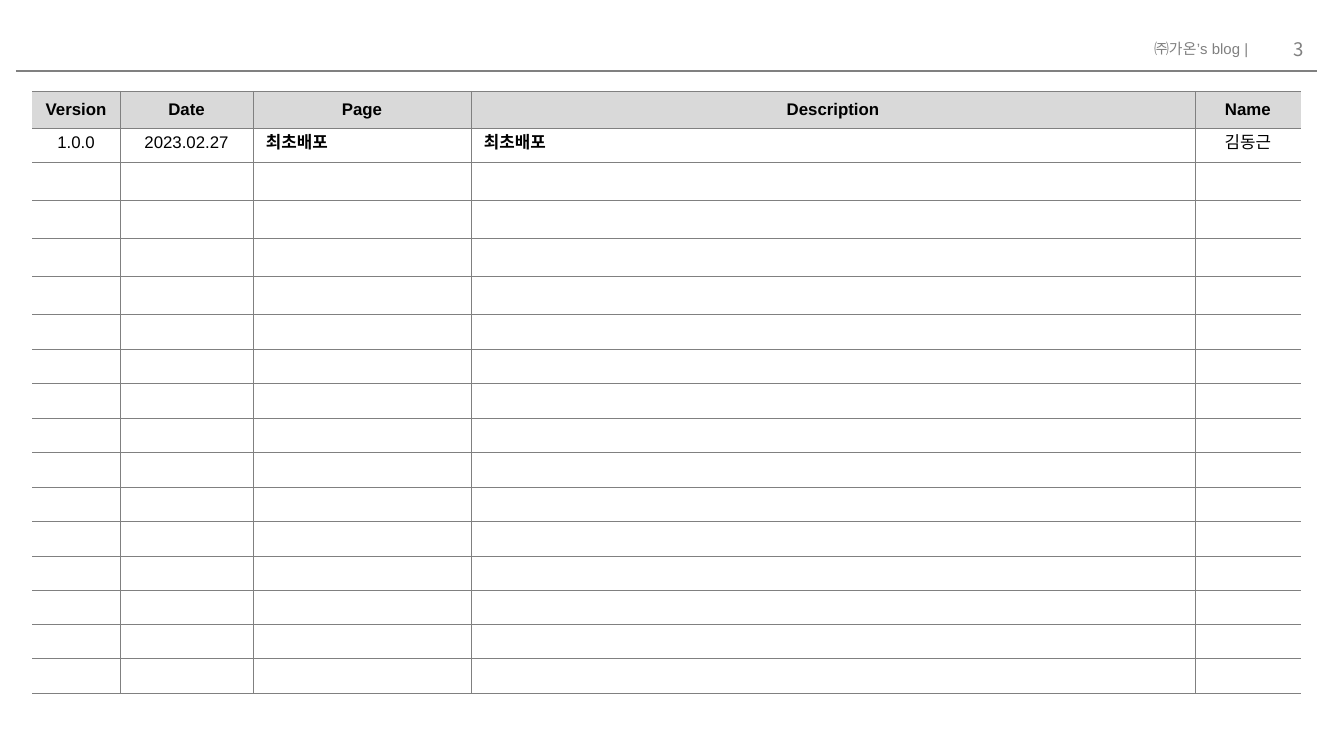
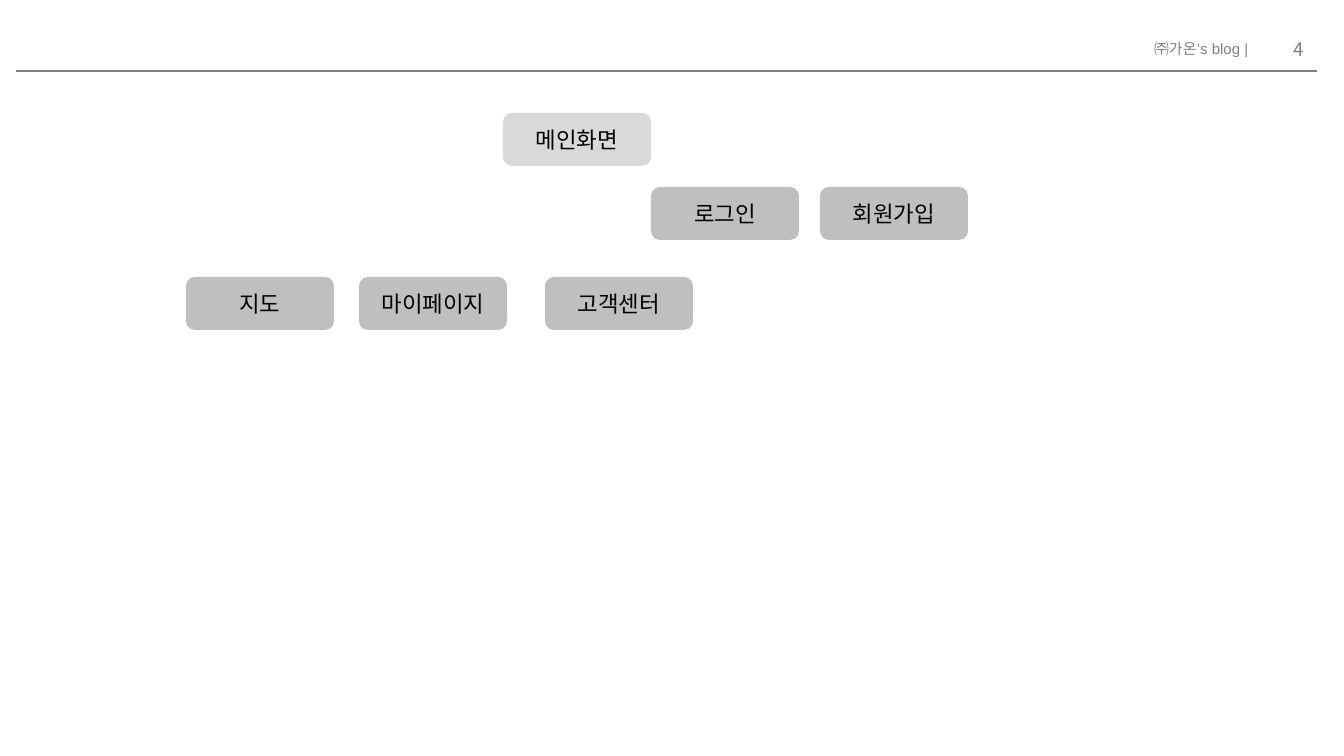
import lxml.etree
import pptx
import pptx.dml.color
import pptx.enum.shapes
import pptx.enum.text
import pptx.oxml.ns
import pptx.util

PX = 9144000 / 1344  # EMU per pixel
COLORS = {"line": "808080", "head": "D9D9D9", "node": "BFBFBF", "paper": "FFFFFF", "ink": "000000"}
LATIN, KOREAN = "Arial", "Noto Sans CJK KR"
ALIGN = pptx.enum.text.PP_ALIGN
MIDDLE = pptx.enum.text.MSO_ANCHOR.MIDDLE
TOP = pptx.enum.text.MSO_ANCHOR.TOP
qn = pptx.oxml.ns.qn
rgb = pptx.dml.color.RGBColor.from_string


def px(*lengths):
    return [pptx.util.Emu(round(length * PX)) for length in lengths]


def write(frame, text, size=9, font=LATIN, color="ink", bold=False,
          align=ALIGN.LEFT, anchor=TOP, wrap=True, before=0):
    frame.word_wrap = wrap
    if not wrap:
        frame.auto_size = pptx.enum.text.MSO_AUTO_SIZE.SHAPE_TO_FIT_TEXT
    frame.vertical_anchor = anchor
    frame.margin_left, frame.margin_top, frame.margin_right, frame.margin_bottom = px(13, 6, 13, 6)
    paragraph = frame.paragraphs[0]
    paragraph.alignment = align
    if before:
        spacing = lxml.etree.SubElement(paragraph._p.get_or_add_pPr(), qn("a:spcBef"))
        lxml.etree.SubElement(spacing, qn("a:spcPct"), val=str(before * 1000))
    run = paragraph.add_run()
    run.text = text
    run.font.size = pptx.util.Pt(size)
    run.font.name = font
    run.font.bold = bold
    run.font.color.rgb = rgb(COLORS[color])
    # The same face for East Asian text keeps the apostrophe narrow
    lxml.etree.SubElement(run._r.get_or_add_rPr(), qn("a:ea"), typeface=font)


deck = pptx.Presentation()
deck.slide_width, deck.slide_height = px(1344, 756)

# Header shared by both slides: blog name, rule, page number
slides = []
for number in (3, 4):
    slide = deck.slides.add_slide(deck.slide_layouts[6])
    slides.append(slide)
    blog = slide.shapes.add_textbox(*px(1141, 34, 128, 32))
    write(blog.text_frame, "㈜가온’s blog |", size=8, color="line", wrap=False)
    rule = slide.shapes.add_connector(pptx.enum.shapes.MSO_CONNECTOR.STRAIGHT, *px(16, 71, 1317, 71))
    rule.line.color.rgb = rgb(COLORS["line"])
    rule.line.width = pptx.util.Pt(1)
    lxml.etree.SubElement(rule._element.spPr, qn("a:effectLst"))
    page = slide.shapes.add_textbox(*px(1236, 29, 81, 40))
    write(page.text_frame, str(number), size=10, font=KOREAN, color="line",
          align=ALIGN.RIGHT, anchor=MIDDLE)
history_slide, sitemap_slide = slides

# Version history table
headings = ["Version", "Date", "Page", "Description", "Name"]
first_entry = ["1.0.0", "2023.02.27", "최초배포", "최초배포", "김동근"]
column_edges = [32, 120, 253, 471, 1195, 1301]
row_edges = [91, 128, 162, 200, 238, 276] + [314 + round(i * 380 / 11) for i in range(12)]
row_count, column_count = len(row_edges) - 1, len(headings)
history = history_slide.shapes.add_table(
    row_count, column_count, *px(32, 91, 1301 - 32, row_edges[-1] - 91)).table
history.first_row = history.horz_banding = False
for column, left, right in zip(history.columns, column_edges, column_edges[1:]):
    column.width = px(right - left)[0]
for row, top, bottom in zip(history.rows, row_edges, row_edges[1:]):
    row.height = px(bottom - top)[0]

for r in range(row_count):
    for c in range(column_count):
        cell = history.cell(r, c)
        properties = cell._tc.get_or_add_tcPr()
        # The outer left and right sides stay open
        for side in "LRTB":
            border = lxml.etree.SubElement(properties, qn("a:ln" + side), w="3175")
            if (side, c) in (("L", 0), ("R", column_count - 1)):
                lxml.etree.SubElement(border, qn("a:noFill"))
            else:
                fill = lxml.etree.SubElement(border, qn("a:solidFill"))
                lxml.etree.SubElement(fill, qn("a:srgbClr"), val=COLORS["line"])
        cell.fill.solid()
        cell.fill.fore_color.rgb = rgb(COLORS["paper" if r else "head"])
        if r == 0:
            write(cell.text_frame, headings[c], bold=True, align=ALIGN.CENTER, before=20)
            cell.vertical_anchor = MIDDLE
        elif r == 1:
            described = c in (2, 3)
            write(cell.text_frame, first_entry[c], bold=described,
                  align=ALIGN.LEFT if described else ALIGN.CENTER, before=20 if c == 4 else 0)
        else:
            # A small end mark keeps the empty row at its height
            lxml.etree.SubElement(cell.text_frame.paragraphs[0]._p, qn("a:endParaRPr"), sz="800")
        cell.margin_left, cell.margin_top, cell.margin_right, cell.margin_bottom = px(13, 5, 13, 5)

# Site map nodes: label, left, top, fill
nodes = [
    ("메인화면", 503, 113, "head"),
    ("로그인", 651, 187, "node"),
    ("회원가입", 820, 187, "node"),
    ("지도", 186, 277, "node"),
    ("마이페이지", 359, 277, "node"),
    ("고객센터", 545, 277, "node"),
]
for label, left, top, fill in nodes:
    node = sitemap_slide.shapes.add_shape(
        pptx.enum.shapes.MSO_SHAPE.ROUNDED_RECTANGLE, *px(left, top, 148, 53))
    node.shadow.inherit = False
    node.fill.solid()
    node.fill.fore_color.rgb = rgb(COLORS[fill])
    node.line.fill.background()
    write(node.text_frame, label, size=12, font=KOREAN, align=ALIGN.CENTER, anchor=MIDDLE)

deck.save("out.pptx")
